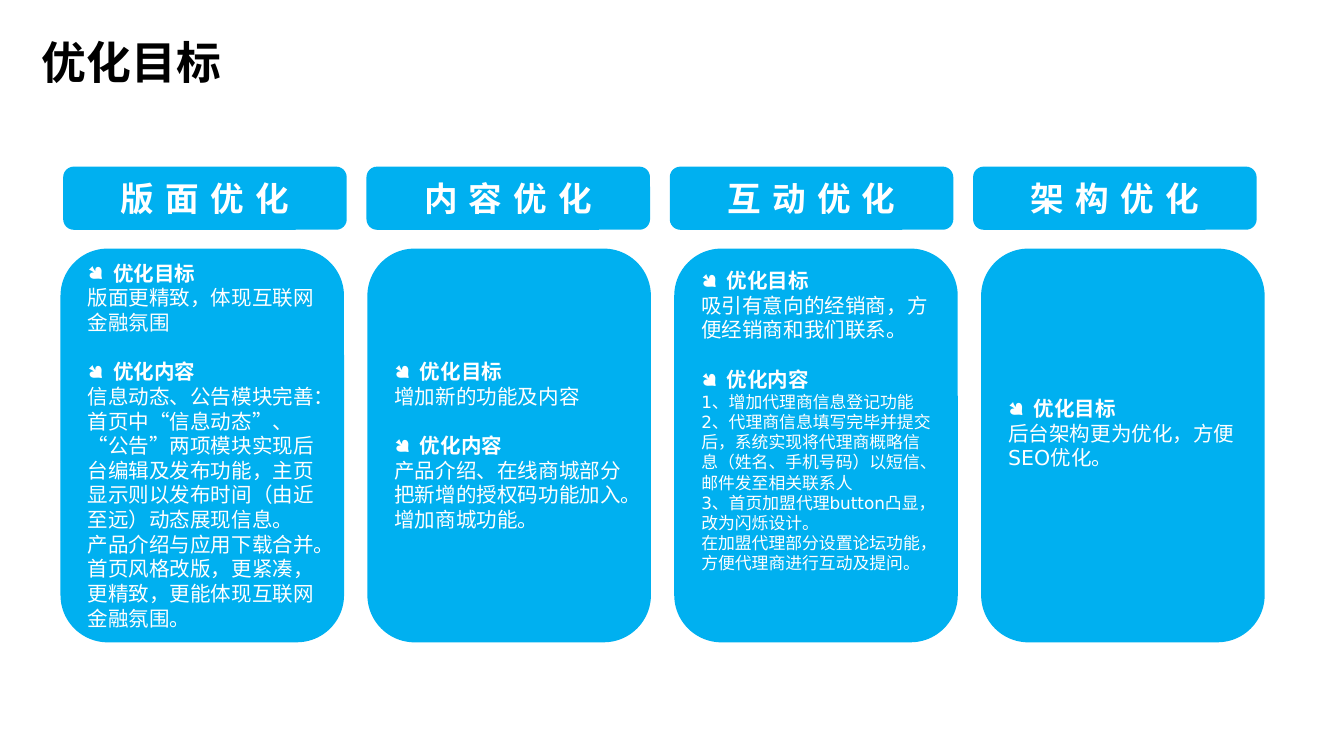
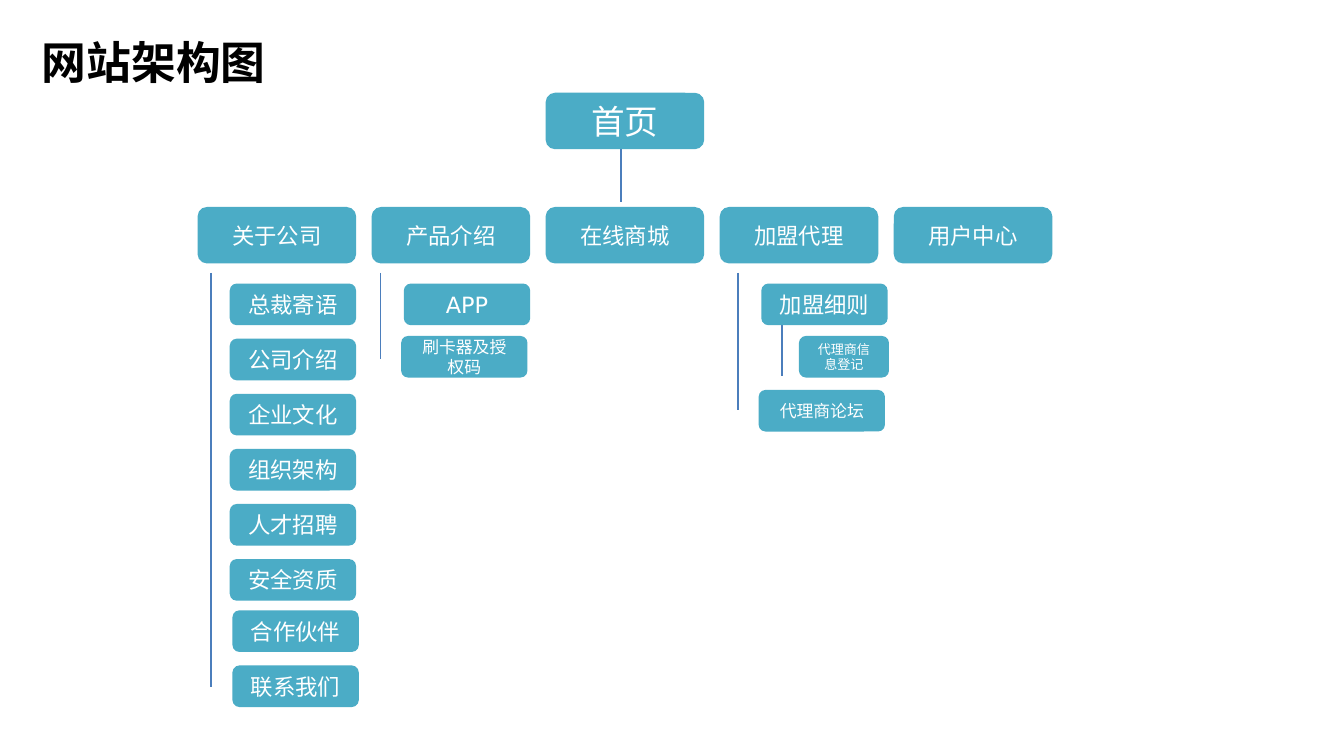
from dataclasses import dataclass
from lxml import etree
from pptx import Presentation
from pptx import util as u
from pptx.dml.color import RGBColor
from pptx.enum import shapes, text
from pptx.oxml import ns


@dataclass(frozen=True)
class Theme:
    font: str = "DejaVu Sans"
    bullet_font: str = "Wingdings"
    ink: str = "000000"
    paper: str = "FFFFFF"
    goal: str = "00B0F0"
    node: str = "4BACC6"
    link: str = "4B7EBC"
    title: int = 24
    banner: int = 18
    body: int = 11
    menu: int = 12
    small: int = 9
    tiny: int = 7
    blank_line: float = 13.2


THEME = Theme()
WIDTH = 10
HEIGHT = WIDTH * 9 / 16

GOAL, CONTENT = "优化目标", "优化内容"
TOPICS = [
    ("版面优化", 0, [
        (GOAL, THEME.body, ["版面更精致，体现互联网金融氛围"]),
        (CONTENT, THEME.body, [
            "信息动态、公告模块完善：首页中“信息动态”、“公告”两项模块实现后台编辑及发布功能，"
            "主页显示则以发布时间（由近至远）动态展现信息。",
            "产品介绍与应用下载合并。",
            "首页风格改版，更紧凑，更精致，更能体现互联网金融氛围。"])]),
    ("内容优化", 0, [
        (GOAL, THEME.body, ["增加新的功能及内容"]),
        (CONTENT, THEME.body, ["产品介绍、在线商城部分把新增的授权码功能加入。", "增加商城功能。"])]),
    ("互动优化", 2, [
        (GOAL, THEME.body, ["吸引有意向的经销商，方便经销商和我们联系。"]),
        (CONTENT, THEME.small, [
            "1、增加代理商信息登记功能",
            "2、代理商信息填写完毕并提交后，系统实现将代理商概略信息（姓名、手机号码）"
            "以短信、邮件发至相关联系人",
            "3、首页加盟代理button凸显，改为闪烁设计。",
            "在加盟代理部分设置论坛功能，方便代理商进行互动及提问。"])]),
    ("架构优化", 1, [
        (GOAL, THEME.body, ["后台架构更为优化，方便SEO优化。"])]),
]

SECTIONS = ["关于公司", "产品介绍", "在线商城", "加盟代理", "用户中心"]
ABOUT_PAGES = ["总裁寄语", "公司介绍", "企业文化", "组织架构", "人才招聘", "安全资质"]
SECTION_LEFTS = (1.47, 6.65)
SECTION_STEP = (SECTION_LEFTS[1] - SECTION_LEFTS[0]) / (len(SECTIONS) - 1)
SECTION_TOP = 1.54
SECTION_SIZE = (1.18, 0.42)
PAGE_INDENT, PAGE_TOP, PAGE_STEP = 0.24, 2.11, 0.41
PAGE_SIZE = (0.94, 0.31)


def assign(target, **formats):
    for name, value in formats.items():
        setattr(target, name, value)


def spread(first, last, count):
    return [first + (last - first) * i / (count - 1) for i in range(count)]


def write(paragraph, words, size, color, bold=False, align=text.PP_ALIGN.LEFT, tracking=0):
    paragraph.alignment = align
    run = paragraph.add_run()
    run.text = words
    assign(run.font, name=THEME.font, size=u.Pt(size), bold=bold)
    run.font.color.rgb = RGBColor.from_string(color)
    if tracking:
        run.font._element.set("spc", str(tracking * 100))


def add_bullet(paragraph):
    indent = u.Inches(0.19)
    props = paragraph._p.get_or_add_pPr()
    props.set("marL", str(indent))
    props.set("indent", str(-indent))
    etree.SubElement(props, ns.qn("a:buFont")).set("typeface", THEME.bullet_font)
    etree.SubElement(props, ns.qn("a:buChar")).set("char", "●")


def add_title(slide, words, width):
    title = slide.shapes.title
    assign(title, left=u.Inches(0.21), top=u.Inches(0.21),
           width=u.Inches(width), height=u.Inches(0.5))
    assign(title.text_frame, word_wrap=True, auto_size=text.MSO_AUTO_SIZE.NONE,
           vertical_anchor=text.MSO_ANCHOR.TOP)
    write(title.text_frame.paragraphs[0], words, THEME.title, THEME.ink, bold=True)


def add_block(slide, left, top, size, fill):
    block = slide.shapes.add_shape(shapes.MSO_SHAPE.ROUNDED_RECTANGLE,
                                   *map(u.Inches, (left, top, *size)))
    block.shadow.inherit = False
    block.fill.solid()
    block.fill.fore_color.rgb = RGBColor.from_string(fill)
    block.line.fill.background()
    assign(block.text_frame, word_wrap=True, vertical_anchor=text.MSO_ANCHOR.MIDDLE)
    return block.text_frame


def add_label(slide, words, left, top, size, fill, points, **style):
    frame = add_block(slide, left, top, size, fill)
    write(frame.paragraphs[0], words, points, THEME.paper,
          align=text.PP_ALIGN.CENTER, **style)


def add_card(slide, left, top, size, parts, lift):
    frame = add_block(slide, left, top, size, THEME.goal)
    frame.margin_bottom += u.Pt(lift * THEME.blank_line)
    for i, (heading, points, lines) in enumerate(parts):
        head = frame.add_paragraph() if i else frame.paragraphs[0]
        write(head, heading, THEME.body, THEME.paper, bold=True)
        if i:
            head.space_before = u.Pt(THEME.blank_line)
        add_bullet(head)
        for line in lines:
            write(frame.add_paragraph(), line, points, THEME.paper)


def add_drop(slide, x, top, bottom):
    drop = slide.shapes.add_connector(shapes.MSO_CONNECTOR.STRAIGHT,
                                      *map(u.Inches, (x, top, x, bottom)))
    drop.line.width = u.Pt(0.75)
    drop.line.color.rgb = RGBColor.from_string(THEME.link)
    etree.SubElement(drop._element.spPr, ns.qn("a:effectLst"))


def add_section(slide, words, column, top=SECTION_TOP, points=THEME.menu):
    add_label(slide, words, SECTION_LEFTS[0] + column * SECTION_STEP, top,
              SECTION_SIZE, THEME.node, points)


def add_page(slide, words, column, row, shift=0, size=PAGE_SIZE, points=THEME.menu):
    left = SECTION_LEFTS[0] + column * SECTION_STEP + PAGE_INDENT + shift
    add_label(slide, words, left, PAGE_TOP + row * PAGE_STEP, size, THEME.node, points)


def build_goals(slide):
    add_title(slide, "优化目标", 1.97)
    count = len(TOPICS)
    for (name, lift, parts), banner_left, card_left in zip(
            TOPICS, spread(0.47, 7.24, count), spread(0.45, 7.3, count)):
        add_label(slide, name, banner_left, 1.24, (2.11, 0.47), THEME.goal,
                  THEME.banner, bold=True, tracking=6)
        add_card(slide, card_left, 1.85, (2.11, 2.93), parts, lift)


def build_sitemap(slide):
    add_title(slide, "网站架构图", 2.9)
    for x, top, bottom in [(5.82, 2.15, 2.8), (4.62, 1.1, 1.5), (1.57, 2.03, 5.11),
                           (2.83, 2.03, 2.67), (5.49, 2.03, 3.05)]:
        add_drop(slide, x, top, bottom)
    add_section(slide, "首页", 2, top=0.69, points=THEME.banner)
    for column, name in enumerate(SECTIONS):
        add_section(slide, name, column)
    for row, name in enumerate(ABOUT_PAGES):
        add_page(slide, name, 0, row)
    for row, name in enumerate(["合作伙伴", "联系我们"]):
        add_page(slide, name, 0, row + 5.93, shift=0.02)
    add_page(slide, "APP", 1, 0)
    add_page(slide, "刷卡器及授权码", 1, 0.95, shift=-0.02, points=THEME.small)
    add_page(slide, "加盟细则", 3, 0, shift=0.07)
    add_page(slide, "代理商信息登记", 3, 0.95, shift=0.35,
             size=(0.67, 0.31), points=THEME.tiny)
    add_page(slide, "代理商论坛", 3, 1.93, shift=0.05, points=THEME.small)


def main():
    deck = Presentation()
    assign(deck, slide_width=u.Inches(WIDTH), slide_height=u.Inches(HEIGHT))
    title_only = deck.slide_layouts[5]
    for build in (build_goals, build_sitemap):
        build(deck.slides.add_slide(title_only))
    deck.save("out.pptx")


if __name__ == "__main__":
    main()
